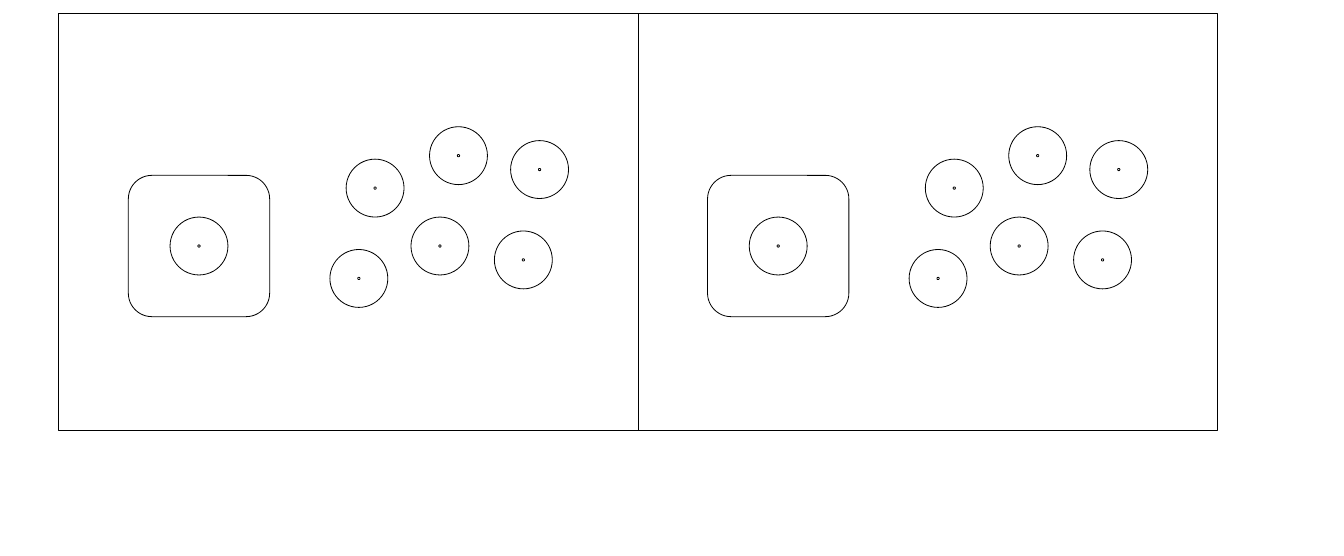
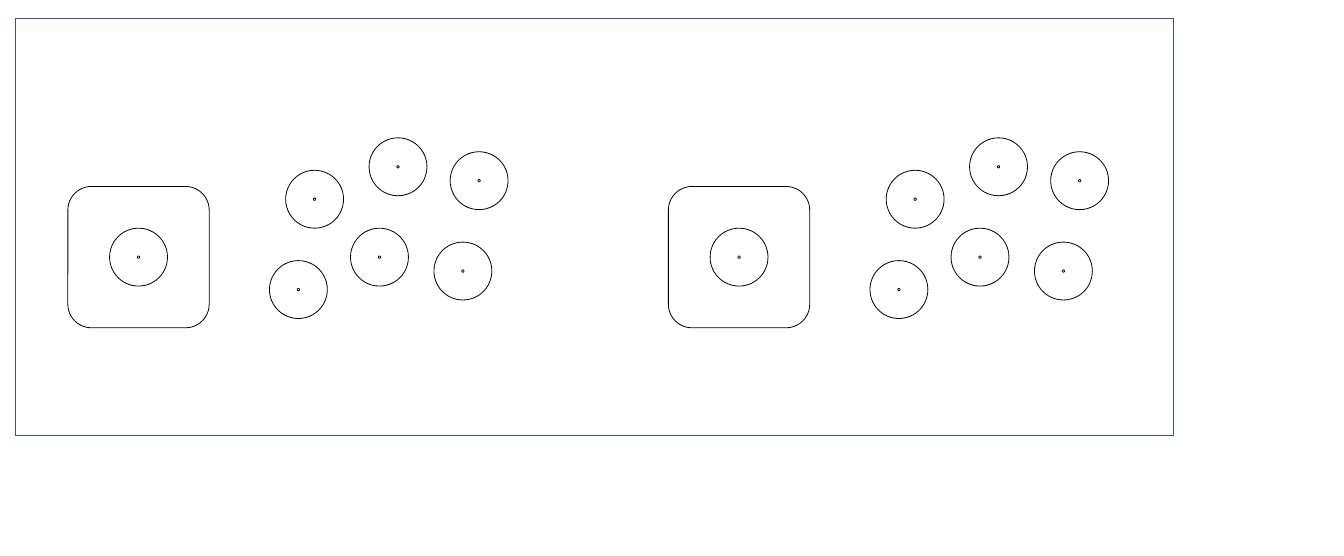
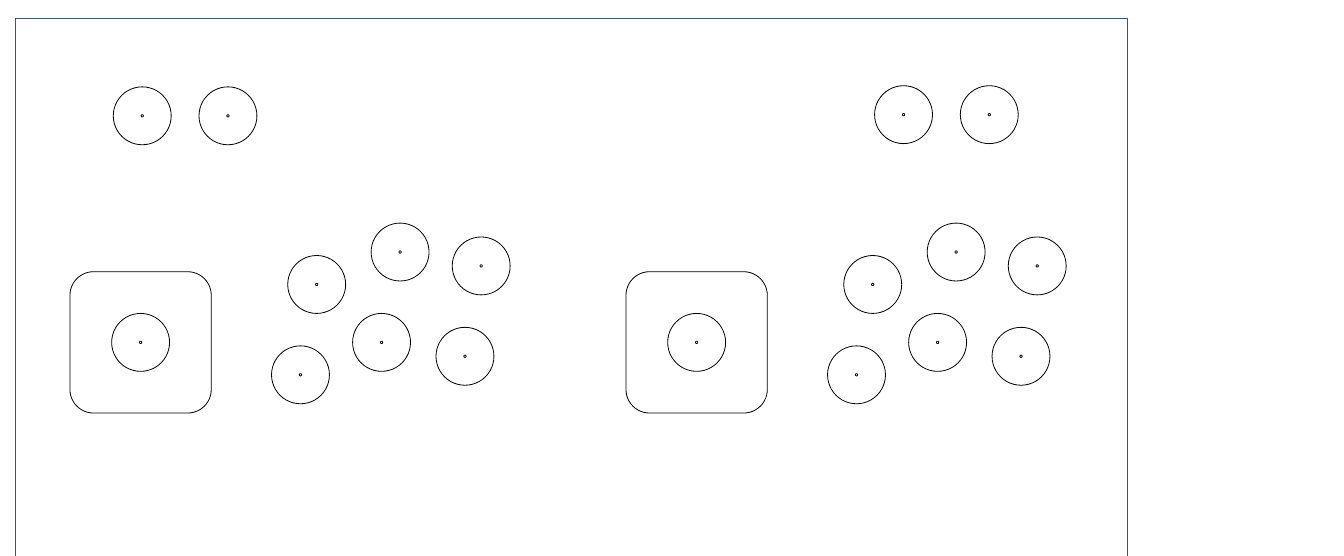
import dataclasses
import typing

import pptx
import pptx.dml.color
import pptx.enum.shapes
import pptx.shapes.autoshape
import pptx.shapes.shapetree
import pptx.util

Cm = pptx.util.Cm
RGBColor = pptx.dml.color.RGBColor
SHAPE = pptx.enum.shapes.MSO_SHAPE

BLACK = RGBColor(0x00, 0x00, 0x00)
WHITE = RGBColor(0xFF, 0xFF, 0xFF)
BLUE = RGBColor(0x32, 0x54, 0x91)

BUTTON = 2.5
PILOT_HOLE = 0.1
PLATE = 6.1
PAIR_PITCH = 3.7
OUTLINE = {"width": pptx.util.Pt(1)}


class Point(typing.NamedTuple):
    x: float
    y: float


STICK = Point(0, 0)
BUTTONS = (
    Point(10.4, 0),
    Point(6.9, 1.4),
    Point(14, 0.6),
    Point(11.2, -3.9),
    Point(7.6, -2.5),
    Point(14.7, -3.3),
)


@dataclasses.dataclass(frozen=True)
class Panel:
    left: float
    top: float
    width: float
    height: float
    color: RGBColor = BLACK


@dataclasses.dataclass(frozen=True)
class Layout:
    panels: tuple[Panel, ...]
    sticks: tuple[Point, ...]
    button_pairs: tuple[Point, ...] = ()


LAYOUTS = (
    Layout(
        panels=(Panel(2.54, 0.58, 25, 18), Panel(27.54, 0.58, 25, 18)),
        sticks=(Point(8.59, 10.62), Point(33.59, 10.62)),
    ),
    Layout(
        panels=(Panel(0.66, 0.81, 50, 18, BLUE),),
        sticks=(Point(31.9, 11.1), Point(5.98, 11.1)),
    ),
    Layout(
        panels=(Panel(0.66, 0.81, 48, 23.19, BLUE),),
        sticks=(Point(30.07, 14.78), Point(6.07, 14.78)),
        button_pairs=(Point(6.14, 5), Point(39, 4.95)),
    ),
)

Shapes = pptx.shapes.shapetree.SlideShapes | pptx.shapes.shapetree.GroupShapes


def outline(shape: pptx.shapes.autoshape.Shape, color: RGBColor) -> None:
    shape.shadow.inherit = False
    shape.fill.background()
    shape.line.color.rgb = color
    for name, value in OUTLINE.items():
        setattr(shape.line, name, value)


def draw_panel(shapes: Shapes, panel: Panel) -> None:
    board = shapes.add_shape(
        SHAPE.RECTANGLE,
        Cm(panel.left), Cm(panel.top), Cm(panel.width), Cm(panel.height),
    )
    outline(board, panel.color)


def draw_centred(
    shapes: Shapes, kind: SHAPE, center: Point, size: float
) -> pptx.shapes.autoshape.Shape:
    part = shapes.add_shape(
        kind,
        Cm(center.x - size / 2), Cm(center.y - size / 2), Cm(size), Cm(size),
    )
    outline(part, BLACK)
    return part


def draw_holes(shapes: Shapes, centers: typing.Iterable[Point]) -> None:
    for center in centers:
        for size in (BUTTON, PILOT_HOLE):
            hole = draw_centred(shapes, SHAPE.OVAL, center, size)
            hole.fill.solid()
            hole.fill.fore_color.rgb = WHITE


def draw_player(shapes: Shapes, stick: Point) -> None:
    controls = shapes.add_group_shape().shapes
    draw_holes(
        controls,
        (Point(stick.x + dx, stick.y + dy) for dx, dy in (STICK, *BUTTONS)),
    )
    draw_centred(controls, SHAPE.ROUNDED_RECTANGLE, stick, PLATE)


def draw_button_pair(shapes: Shapes, first: Point) -> None:
    for center in (first, Point(first.x + PAIR_PITCH, first.y)):
        draw_holes(shapes.add_group_shape().shapes, (center,))


def main() -> None:
    deck = pptx.Presentation()
    deck.slide_width = Cm(58.01)
    deck.slide_height = Cm(24)
    for layout in LAYOUTS:
        shapes = deck.slides.add_slide(deck.slide_layouts[6]).shapes
        for panel in layout.panels:
            draw_panel(shapes, panel)
        for first in layout.button_pairs:
            draw_button_pair(shapes, first)
        for stick in layout.sticks:
            draw_player(shapes, stick)
    deck.save("out.pptx")


if __name__ == "__main__":
    main()
